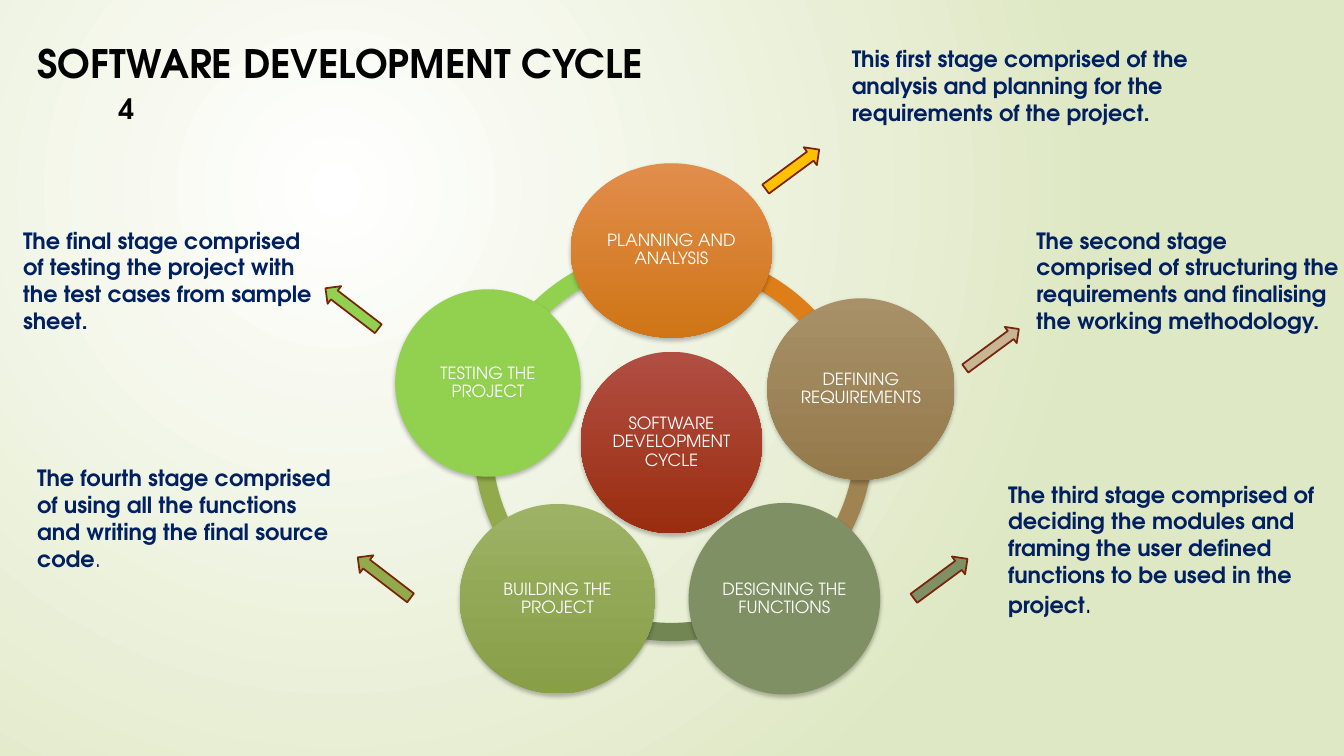
from dataclasses import dataclass

from lxml.etree import SubElement
from pptx import Presentation
from pptx.dml.color import RGBColor
from pptx.enum.shapes import MSO_SHAPE
from pptx.enum.text import MSO_ANCHOR, MSO_AUTO_SIZE, PP_ALIGN
from pptx.oxml.ns import qn
from pptx.util import Pt

EMU_PER_PX = 9144  # 100 px to the inch


@dataclass(frozen=True)
class Theme:
    font: str = "TeX Gyre Adventor"
    white: str = "FFFFFF"
    black: str = "000000"
    backdrop: str = "DFE8C4"
    note: str = "002060"
    arrow_edge: str = "7A240C"
    orange: str = "DE7E18"
    tan: str = "9F8351"
    moss: str = "728653"
    olive: str = "92AA4C"
    lime: str = "92D050"
    sage: str = "7F9164"
    sand: str = "C8B594"
    amber: str = "FFC000"
    red_fade: tuple = ("B14E43", "9A2D0F")
    orange_fade: tuple = ("E18D4C", "CF7516")
    tan_fade: tuple = ("A89068", "947A4B")
    olive_fade: tuple = ("9DB265", "889E47")
    title_size: int = 28
    number_size: int = 20
    note_size: int = 16
    stage_size: int = 12


def px(*lengths):
    return [length * EMU_PER_PX for length in lengths]


class CycleSlide:
    def __init__(self, deck, theme):
        self.theme = theme
        self.slide = deck.slides.add_slide(deck.slide_layouts[6])

    def background(self):
        """Radial fade whose centre lies a quarter in from the top left."""
        fill = self.slide.background.fill
        self._paint(fill, (self.theme.white, self.theme.backdrop))
        gradient = self.slide.element.find(".//" + qn("a:gradFill"))
        gradient.remove(gradient.find(qn("a:lin")))
        radial = SubElement(gradient, qn("a:path"), path="circle")
        SubElement(radial, qn("a:fillToRect"), l="50000", t="50000", r="100000", b="100000")

    def arc(self, box, start, end, color):
        """Ring segment; start and end are in units of 100000/60000 degrees."""
        segment = self._shape(MSO_SHAPE.BLOCK_ARC, box, color)
        for index, value in enumerate((start, end, 0.046)):
            segment.adjustments[index] = value
        self._shadow(segment)

    def stage(self, box, label, color):
        circle = self._shape(MSO_SHAPE.OVAL, box, color)
        self._shadow(circle)
        frame = circle.text_frame
        frame.margin_left = frame.margin_right = frame.margin_top = frame.margin_bottom = px(2)[0]
        frame.word_wrap = True
        frame.vertical_anchor = MSO_ANCHOR.MIDDLE
        paragraph = self._write(frame, label, self.theme.stage_size, self.theme.white)
        paragraph.alignment = PP_ALIGN.CENTER
        paragraph.line_spacing = 0.9

    def arrow(self, box, rotation, color):
        arrow = self._shape(MSO_SHAPE.RIGHT_ARROW, box, color)
        arrow.rotation = rotation
        arrow.line.color.rgb = RGBColor.from_string(self.theme.arrow_edge)
        arrow.line.width = Pt(1.25)

    def text(self, box, words, size, color, wrap=True):
        """Bold text box; returns its paragraph."""
        frame = self.slide.shapes.add_textbox(*px(*box)).text_frame
        frame.word_wrap = wrap
        frame.auto_size = MSO_AUTO_SIZE.SHAPE_TO_FIT_TEXT
        return self._write(frame, words, size, color, bold=True)

    def note(self, box, words):
        return self.text(box, words, self.theme.note_size, self.theme.note)

    def light_stop(self, paragraph, size, color):
        """Ends a bold paragraph with a full stop of regular weight."""
        stop = paragraph.add_run()
        stop.text = "."
        stop.font.bold = False
        stop.font.size = Pt(size)
        stop.font.color.rgb = RGBColor.from_string(color)

    def _write(self, frame, words, size, color, bold=False):
        paragraph = frame.paragraphs[0]
        paragraph.add_run().text = words
        font = paragraph.font
        font.name, font.size, font.bold = self.theme.font, Pt(size), bold
        font.color.rgb = RGBColor.from_string(color)
        return paragraph

    def _shape(self, kind, box, color):
        shape = self.slide.shapes.add_shape(kind, *px(*box))
        shape.shadow.inherit = False
        shape.line.fill.background()
        self._paint(shape.fill, color)
        return shape

    def _paint(self, fill, color):
        """A pair of colours gives a fade from top to bottom."""
        if isinstance(color, str):
            fill.solid()
            fill.fore_color.rgb = RGBColor.from_string(color)
            return
        fill.gradient()
        fill.gradient_angle = 270
        for stop, tone, position in zip(fill.gradient_stops, color, (0, 1)):
            stop.color.rgb = RGBColor.from_string(tone)
            stop.position = position

    def _shadow(self, shape):
        effects = shape.element.spPr.find(qn("a:effectLst"))
        outer = SubElement(effects, qn("a:outerShdw"), blurRad=str(Pt(3)), dist=str(Pt(2)),
                           dir="5400000", algn="ctr", rotWithShape="0")
        tone = SubElement(outer, qn("a:srgbClr"), val=self.theme.black)
        SubElement(tone, qn("a:alpha"), val="25000")


def main():
    deck = Presentation()
    deck.slide_width, deck.slide_height = px(1333, 750)
    theme = Theme()
    page = CycleSlide(deck, theme)
    page.background()

    for left, top, start, end, color in (
        (470, 244, 118.8, 162, theme.lime),
        (470, 244, 75.6, 118.8, theme.olive),
        (470, 244, 32.4, 75.6, theme.moss),
        (474, 241, 206.78, 33.16, theme.tan),
        (470, 247, 161.26, 206.33, theme.orange),
    ):
        page.arc((left, top, 392, 392), start, end, color)

    for box, label, color in (
        ((576, 349, 180, 180), "SOFTWARE DEVELOPMENT CYCLE", theme.red_fade),
        ((566, 162, 200, 173), "PLANNING AND ANALYSIS", theme.orange_fade),
        ((761, 296, 186, 180), "DEFINING REQUIREMENTS", theme.tan_fade),
        ((683, 499, 190, 190), "DESIGNING THE FUNCTIONS", theme.sage),
        ((456, 500, 194, 188), "BUILDING THE PROJECT", theme.olive_fade),
        ((392, 287, 184, 186), "TESTING THE PROJECT", theme.lime),
    ):
        page.stage(box, label, color)

    page.note((835, 40, 383, 91), "This first stage comprised of the analysis and planning "
              "for the requirements of the project.")
    page.note((1018, 220, 322, 118), "The second stage comprised of structuring the "
              "requirements and finalising the working methodology.")
    third = page.note((990, 472, 338, 148), "The third stage comprised of deciding the modules "
                      "and framing the user defined functions to be used in the project")
    page.light_stop(third, 18, theme.black)
    fourth = page.note((27, 456, 315, 118), "The fourth stage comprised of using all the "
                       "functions and writing the final source code")
    page.light_stop(fourth, theme.note_size, theme.note)
    page.note((13, 220, 315, 118), "The final stage comprised of testing the project "
              "with the test cases from sample sheet.")

    up_right, up_left = 323.6, 217.5
    for left, top, height, rotation, color in (
        (753, 157, 22, up_right, theme.amber),
        (951, 336, 20, up_right, theme.sand),
        (900, 563, 22, up_right, theme.sage),
        (316, 295, 22, up_left, theme.lime),
        (348, 562, 22, up_left, theme.olive),
    ):
        page.arrow((left, top, 66, height), rotation, color)

    page.text((27, 34, 631, 57), "SOFTWARE DEVELOPMENT CYCLE", theme.title_size,
              theme.black, wrap=False)
    number = page.text((58, 86, 85, 40), "4", theme.number_size, theme.black)
    number.alignment = PP_ALIGN.RIGHT

    deck.save("out.pptx")


if __name__ == "__main__":
    main()
